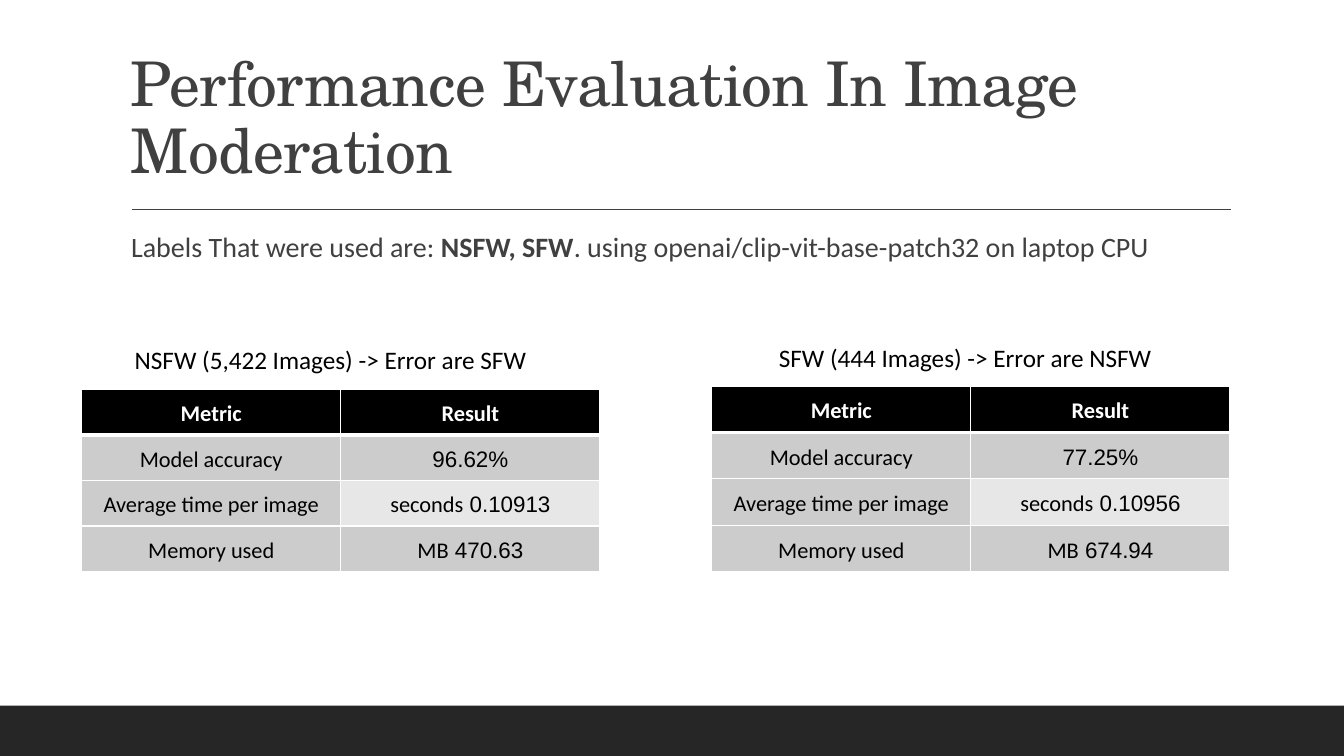
from dataclasses import dataclass

from lxml import etree
from pptx import Presentation
from pptx.dml.color import RGBColor
from pptx.enum.shapes import MSO_CONNECTOR, MSO_SHAPE
from pptx.enum.text import MSO_ANCHOR, PP_ALIGN
from pptx.oxml.ns import qn
from pptx.util import Inches, Pt

RECT, LINE = MSO_SHAPE.RECTANGLE, MSO_CONNECTOR.STRAIGHT
TOP, MIDDLE, BOTTOM = MSO_ANCHOR.TOP, MSO_ANCHOR.MIDDLE, MSO_ANCHOR.BOTTOM
LEFT, CENTER, RIGHT = PP_ALIGN.LEFT, PP_ALIGN.CENTER, PP_ALIGN.RIGHT
WIDE, HIGH = Inches(13.333), Inches(7.5)


@dataclass(frozen=True)
class Theme:
    head: str = "TeX Gyre Schola"
    body: str = "Calibri"
    digits: str = "Arial"
    dark: str = "262626"
    gray: str = "404040"
    black: str = "000000"
    white: str = "FFFFFF"
    cell: str = "CCCCCC"
    pale: str = "E7E7E7"
    title: int = 44
    lead: int = 20
    label: int = 18
    grid: int = 16


LOOK = Theme()


# Lengths are percent of the slide's width and height
def place(x, y, w, h):
    return [int(side * part / 100)
            for side, part in zip((WIDE, HIGH, WIDE, HIGH), (x, y, w, h))]


def rgb(code):
    return RGBColor.from_string(code)


def write(frame, runs, size, color, font=LOOK.body, bold=False, align=LEFT,
          rtl=False, space=1.0, after=0, indent=0, track=0, digits=None):
    """Fill a frame with one paragraph; runs are (text, bold) pairs or a string."""
    para = frame.paragraphs[0]
    para.alignment, para.line_spacing = align, space
    para.space_before, para.space_after = Pt(0), Pt(after)
    props = para._p.get_or_add_pPr()
    if rtl:
        props.set("rtl", "1")
    if indent:
        props.set("marL", str(Inches(indent)))
        props.set("indent", "0")
    for text, strong in [(runs, bold)] if isinstance(runs, str) else runs:
        run = para.add_run()
        run.text = text
        run.font.name, run.font.size, run.font.bold = font, Pt(size), strong
        run.font.color.rgb = rgb(color)
        mark = run._r.get_or_add_rPr()
        if track:
            mark.set("spc", str(track))
        if digits:
            etree.SubElement(mark, qn("a:cs")).set("typeface", digits)


def add_text(slide, area, runs, anchor=TOP, wrap=True, side=0.1, **style):
    frame = slide.shapes.add_textbox(*place(*area)).text_frame
    frame.word_wrap, frame.vertical_anchor = wrap, anchor
    frame.margin_left = frame.margin_right = Inches(side)
    write(frame, runs, **style)


def add_bar(slide, area, color):
    bar = slide.shapes.add_shape(RECT, *place(*area))
    bar.shadow.inherit = False
    bar.fill.solid()
    bar.fill.fore_color.rgb = rgb(color)
    bar.line.fill.background()


def add_rule(slide, left, right, y, color):
    x, top, end, _ = place(left, y, right, 0)
    rule = slide.shapes.add_connector(LINE, x, top, end, top)
    rule.line.color.rgb, rule.line.width = rgb(color), Pt(1)
    etree.SubElement(rule._element.spPr, qn("a:effectLst"))


def edge(cell, **widths):
    props = cell._tc.get_or_add_tcPr()
    for side, width in widths.items():
        line = etree.SubElement(props, qn("a:ln" + side), w=str(Pt(width)))
        fill = etree.SubElement(line, qn("a:solidFill"))
        etree.SubElement(fill, qn("a:srgbClr"), val=LOOK.white)


def add_grid(slide, area, rows):
    box = place(*area)
    table = slide.shapes.add_table(len(rows), 2, *box).table
    table.first_row = table.horz_banding = False
    for row in table.rows:
        row.height = box[3] // len(rows)
    for r, texts in enumerate(rows):
        for c, text in enumerate(texts):
            cell, head = table.cell(r, c), r == 0
            edge(cell, L=1, R=1, T=3 if r == 1 else 1, B=3 if head else 1)
            cell.fill.solid()
            tint = LOOK.pale if (r, c) == (2, 1) else LOOK.cell
            cell.fill.fore_color.rgb = rgb(LOOK.black if head else tint)
            cell.vertical_anchor = MIDDLE
            cell.margin_left = cell.margin_right = Inches(0.07)
            cell.margin_top = cell.margin_bottom = 0
            write(cell.text_frame, text, LOOK.grid,
                  LOOK.white if head else LOOK.black, bold=head, align=CENTER,
                  rtl=True, space=1.15, after=1.8, digits=LOOK.digits)


def add_result(slide, label, spot, anchor, area, score, time, memory):
    add_grid(slide, area, [("Metric", "Result"), ("Model accuracy", score),
                           ("Average time per image", time),
                           ("Memory used", memory)])
    add_text(slide, spot, label, anchor=anchor, wrap=False, size=LOOK.label,
             color=LOOK.black, align=RIGHT, rtl=True)


def main():
    deck = Presentation()
    deck.slide_width, deck.slide_height = WIDE, HIGH
    slide = deck.slides.add_slide(deck.slide_layouts[6])

    # Footer band and title rule
    add_bar(slide, (0, 93.33, 100, 6.67), LOOK.dark)
    add_rule(slide, 9.83, 91.58, 27.73, LOOK.gray)

    # Title and lead sentence
    add_text(slide, (9, 4.13, 82.5, 21.2),
             "Performance Evaluation In Image Moderation", anchor=BOTTOM,
             size=LOOK.title, color=LOOK.gray, font=LOOK.head, space=0.9,
             track=-50)
    add_text(slide, (9, 29.2, 82.5, 54.8),
             [("Labels That were used are: ", False), ("NSFW, SFW", True),
              (". using openai/clip-vit-base-patch32 on laptop CPU", False)],
             side=0, size=LOOK.lead, color=LOOK.gray, space=1.1, after=2,
             indent=0.1)

    # Result tables with their captions
    add_result(slide, "NSFW (5,422 Images) -> Error are SFW",
               (8.48, 44.93, 31.43, 5.33), TOP, (6.08, 51.47, 38.56, 24.13),
               "96.62%", "0.10913 seconds", "470.63 MB")
    add_result(slide, "SFW (444 Images) -> Error are NSFW",
               (56.86, 44.67, 29.56, 5.33), MIDDLE, (52.96, 51.07, 38.56, 24.53),
               "77.25%", "0.10956 seconds", "674.94 MB")
    deck.save("out.pptx")


if __name__ == "__main__":
    main()
